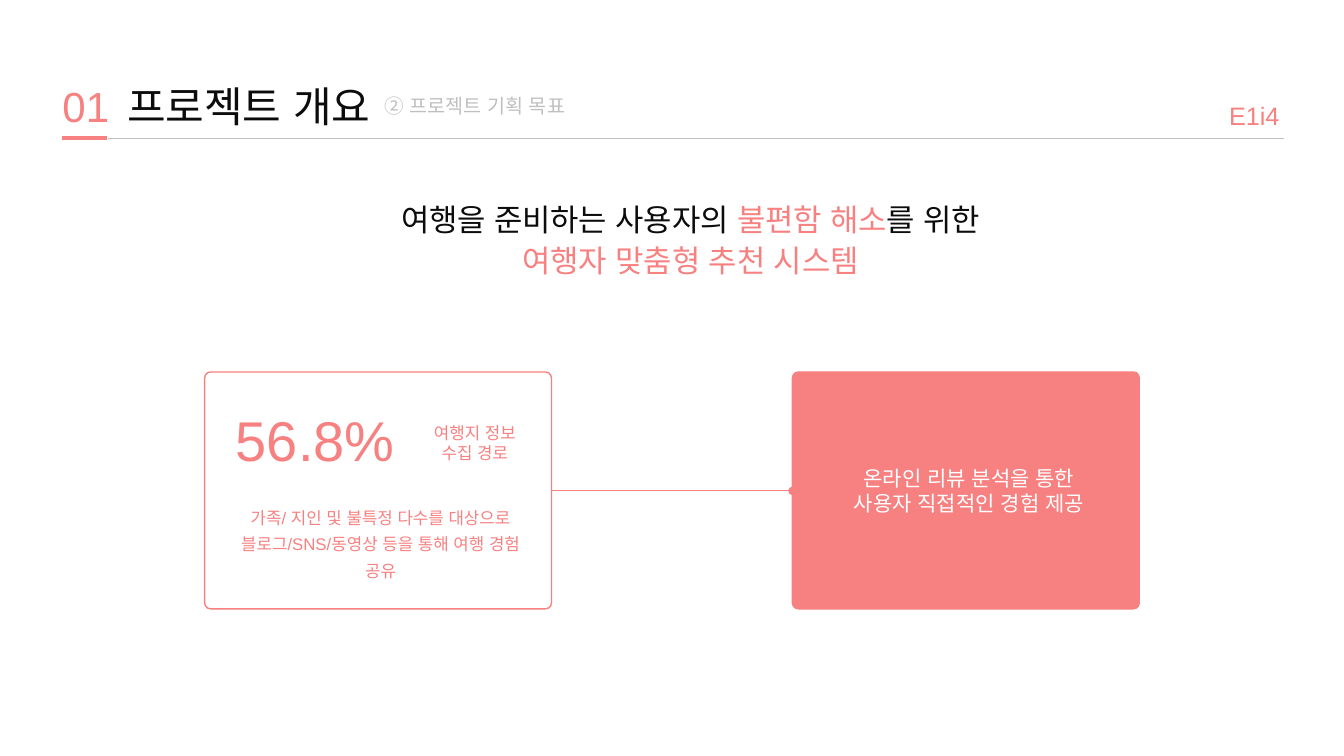
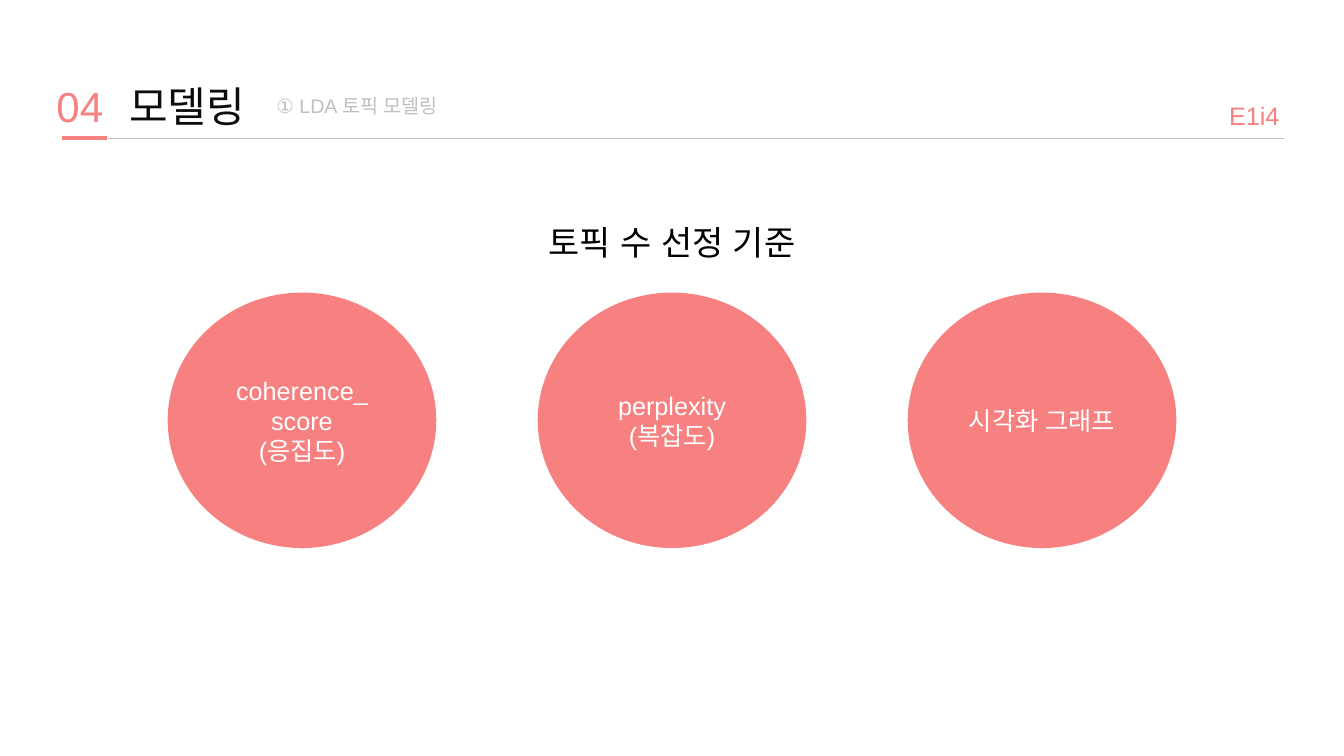
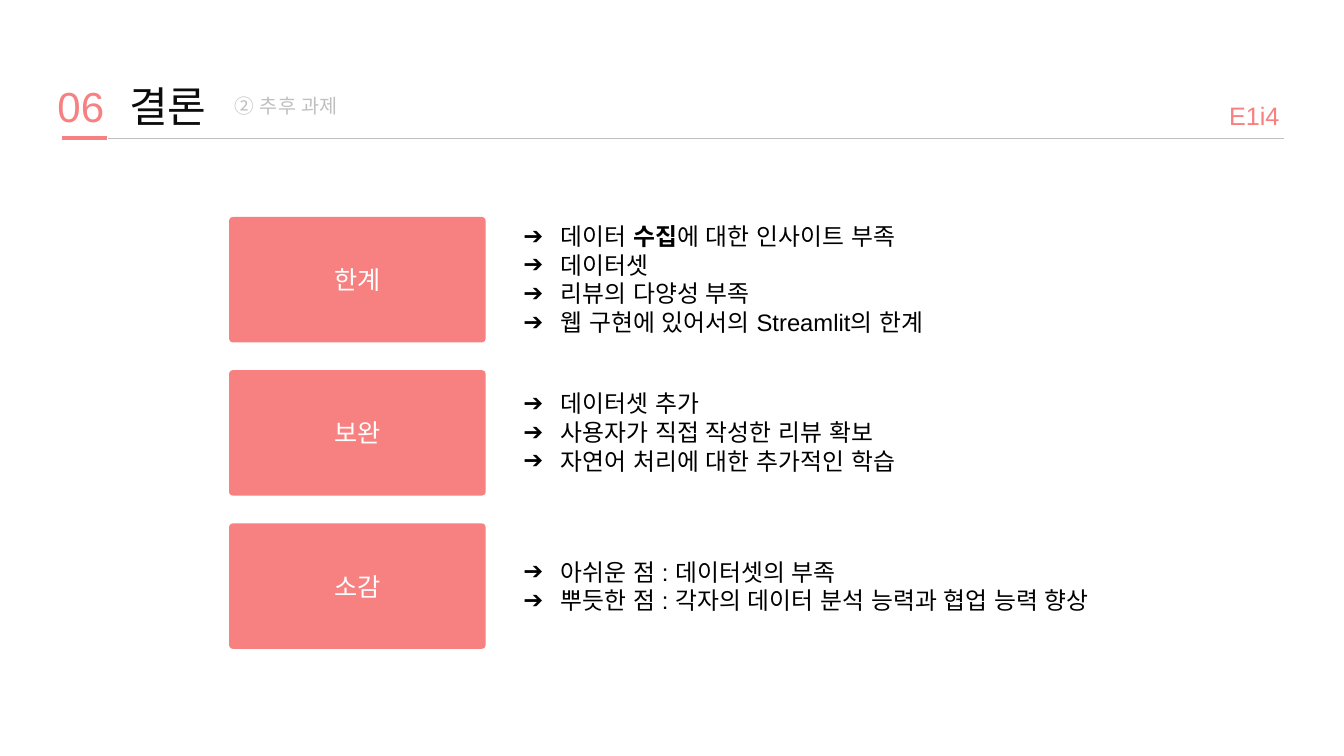
from lxml import etree
from pptx import Presentation
from pptx.dml.color import RGBColor
from pptx.enum.shapes import MSO_CONNECTOR, MSO_SHAPE
from pptx.enum.text import MSO_ANCHOR as ANCHOR, MSO_AUTO_SIZE as AUTO_SIZE, PP_ALIGN as ALIGN
from pptx.oxml.ns import qn
from pptx.util import Inches, Pt

# Shared style
FONT = "Arial"
CORAL, INK, GREY, BLACK, WHITE = "F78181", "0C0C0C", "BFBFBF", "000000", "FFFFFF"
RULE_Y = 1.37
TEAM = "E1i4"


def color(hex_value):
    return RGBColor.from_string(hex_value)


def write_text(shape, paragraphs, size, text_color, box=None, align=ALIGN.LEFT,
               anchor=ANCHOR.TOP, margins=(0.1, 0.05), spacing=1.0,
               bullet=None, fit=AUTO_SIZE.SHAPE_TO_FIT_TEXT):
    """Fill a shape; a paragraph is a string or a list of (text, font values)."""
    if box:
        for name, value in zip(("left", "top", "width", "height"), box):
            setattr(shape, name, Inches(value))
    frame = shape.text_frame
    side, end = (Inches(margin) for margin in margins)
    frame_format = {"word_wrap": True, "auto_size": fit, "vertical_anchor": anchor,
                    "margin_left": side, "margin_right": side,
                    "margin_top": end, "margin_bottom": end}
    for name, value in frame_format.items():
        setattr(frame, name, value)

    for index, content in enumerate(paragraphs):
        paragraph = frame.add_paragraph() if index else frame.paragraphs[0]
        paragraph_format = {"alignment": align, "line_spacing": spacing,
                            "space_before": Pt(0), "space_after": Pt(0)}
        for name, value in paragraph_format.items():
            setattr(paragraph, name, value)

        # Bullet and indent
        properties = paragraph._p.get_or_add_pPr()
        properties.set("marL", str(Inches(0.5 if bullet else 0)))
        properties.set("indent", str(Inches(-0.37 if bullet else 0)))
        if bullet:
            bullet_color = etree.SubElement(properties, qn("a:buClr"))
            etree.SubElement(bullet_color, qn("a:srgbClr"), val=text_color)
            etree.SubElement(properties, qn("a:buChar"), char=bullet)
        else:
            etree.SubElement(properties, qn("a:buNone"))

        # Runs
        runs = [(content, {})] if isinstance(content, str) else content
        for text, changes in runs:
            run = paragraph.add_run()
            run.text = text
            font_format = {"name": FONT, "size": Pt(size), "bold": False,
                           "color": text_color, **changes}
            run.font.color.rgb = color(font_format.pop("color"))
            for name, value in font_format.items():
                setattr(run.font, name, value)
            etree.SubElement(run._r.get_or_add_rPr(), qn("a:ea"), typeface=FONT)


presentation = Presentation()
presentation.slide_width, presentation.slide_height = Inches(13.33), Inches(7.5)

# Headers: layout, number and its left, title and its left, subtitle and its left
headers = [
    ("Title Only", "01", 0.62, "프로젝트 개요", 1.26, "② 프로젝트 기획 목표", 3.81),
    ("Title and Content", "04", 0.56, "모델링", 1.28, "① LDA 토픽 모델링", 2.74),
    ("Comparison", "06", 0.57, "결론", 1.28, "② 추후 과제", 2.33),
]
slides = []
lines = []
for layout, number, number_left, title, title_left, subtitle, subtitle_left in headers:
    slide = presentation.slides.add_slide(presentation.slide_layouts.get_by_name(layout))
    slides.append(slide)
    write_text(slide.shapes.title, [title], 30, INK,
               box=(title_left, 0.8, 2.94, 0.5), margins=(0, 0))
    header_texts = [
        (number, 30, CORAL, (number_left, 0.8, 0.66, 0.5), ALIGN.LEFT, ANCHOR.TOP),
        (subtitle, 14, GREY, (subtitle_left, 0.93, 3.05, 0.24), ALIGN.LEFT, ANCHOR.BOTTOM),
        (TEAM, 18, CORAL, (11.63, 1, 1.06, 0.3), ALIGN.RIGHT, ANCHOR.BOTTOM),
    ]
    for text, size, text_color, box, align, anchor in header_texts:
        text_box = slide.shapes.add_textbox(*map(Inches, box))
        write_text(text_box, [text], size, text_color, align=align, anchor=anchor,
                   margins=(0, 0))
    lines += [(slide, 1.07, 12.73, RULE_Y, GREY, 0.75, None),
              (slide, 0.62, 1.06, RULE_Y, CORAL, 3, None)]
overview, modeling, conclusion = slides

# Header rules, and the link between the overview cards
lines.append((overview, 5.47, 7.86, 4.87, CORAL, 0.75, "oval"))
for slide, start, end, y, line_color, width, tail in lines:
    line = slide.shapes.add_connector(MSO_CONNECTOR.STRAIGHT, Inches(start), Inches(y),
                                      Inches(end), Inches(y))
    line.line.color.rgb = color(line_color)
    line.line.width = Pt(width)
    if tail:
        etree.SubElement(line.line._get_or_add_ln(), qn("a:tailEnd"), type=tail)
    etree.SubElement(line._element.spPr, qn("a:effectLst"))

# Cards and circles: slide, preset, box, fill, label lines
cards = [
    (overview, MSO_SHAPE.ROUNDED_RECTANGLE, (2.03, 3.69, 3.44, 2.35), WHITE, []),
    (overview, MSO_SHAPE.ROUNDED_RECTANGLE, (7.86, 3.69, 3.44, 2.35), CORAL, []),
]
criteria = [["coherence_", "score", "(응집도)"], ["perplexity", "(복잡도)"], ["시각화 그래프"]]
for column, label in enumerate(criteria):
    cards.append((modeling, MSO_SHAPE.OVAL, (1.67 + 3.67 * column, 2.91, 2.65, 2.52),
                  CORAL, label))
for row, label in enumerate(["한계", "보완", "소감"]):
    cards.append((conclusion, MSO_SHAPE.ROUNDED_RECTANGLE,
                  (2.28, 2.16 + 1.52 * row, 2.53, 1.23), CORAL, [label]))

for slide, preset, box, fill, label in cards:
    card = slide.shapes.add_shape(preset, *map(Inches, box))
    card.shadow.inherit = False
    card.fill.solid()
    card.fill.fore_color.rgb = color(fill)
    card.line.color.rgb = color(CORAL)
    card.line.width = Pt(1)
    if preset == MSO_SHAPE.ROUNDED_RECTANGLE:
        card.adjustments[0] = 0.025
    write_text(card, label, 18, WHITE, align=ALIGN.CENTER, anchor=ANCHOR.MIDDLE,
               margins=(0.1, 0.1), fit=AUTO_SIZE.NONE)

# Overview texts: box, size, colour, alignment, line spacing, paragraphs
overview_texts = [
    ((3.45, 1.91, 6.8, 1.25), 22, INK, ALIGN.CENTER, 1.1,
     [[("여행을 준비하는 사용자의 ", {}), ("불편함 해소", {"color": CORAL}), ("를 위한", {})],
      [("여행자 맞춤형 추천 시스템", {"color": CORAL})]]),
    ((2.24, 3.97, 1.95, 0.77), 40, CORAL, ALIGN.LEFT, 1.0, ["56.8%"]),
    ((4.04, 4.14, 1.34, 0.5), 12, CORAL, ALIGN.CENTER, 1.0, ["여행지 정보", "수집 경로"]),
    ((2.27, 4.93, 3.01, 0.89), 12, CORAL, ALIGN.CENTER, 1.3,
     ["가족/ 지인 및 불특정 다수를 대상으로 블로그/SNS/동영상 등을 통해 여행 경험 공유"]),
    ((8.2, 4.57, 2.82, 0.61), 15, WHITE, ALIGN.CENTER, 1.0,
     ["온라인 리뷰 분석을 통한", "사용자 직접적인 경험 제공"]),
]
for box, size, text_color, align, spacing, paragraphs in overview_texts:
    text_box = overview.shapes.add_textbox(*map(Inches, box))
    write_text(text_box, paragraphs, size, text_color, align=align, spacing=spacing)

# Modeling heading
write_text(modeling.placeholders[1], ["토픽 수 선정 기준"], 24.2, BLACK,
           box=(5.02, 2.08, 3.29, 0.5), align=ALIGN.CENTER, spacing=1.18,
           fit=AUTO_SIZE.NONE)

# Conclusion lists: top, height, items
conclusion_lists = [
    (2.1, 1.35, [[("데이터 ", {}), ("수집", {"bold": True}), ("에 대한 인사이트 부족", {})],
                 "데이터셋", "리뷰의 다양성 부족", "웹 구현에 있어서의 Streamlit의 한계"]),
    (3.76, 1.06, ["데이터셋 추가", "사용자가 직접 작성한 리뷰 확보",
                  "자연어 처리에 대한 추가적인 학습"]),
    (5.43, 0.77, ["아쉬운 점 : 데이터셋의 부족",
                  "뿌듯한 점 : 각자의 데이터 분석 능력과 협업 능력 향상"]),
]
for index, (top, height, items) in enumerate(conclusion_lists, start=1):
    write_text(conclusion.placeholders[index], items, 17, BLACK,
               box=(4.96, top, 6.49, height), margins=(0.1, 0.1), bullet="➔")
unused = conclusion.placeholders[4].element
unused.getparent().remove(unused)

presentation.save("out.pptx")
